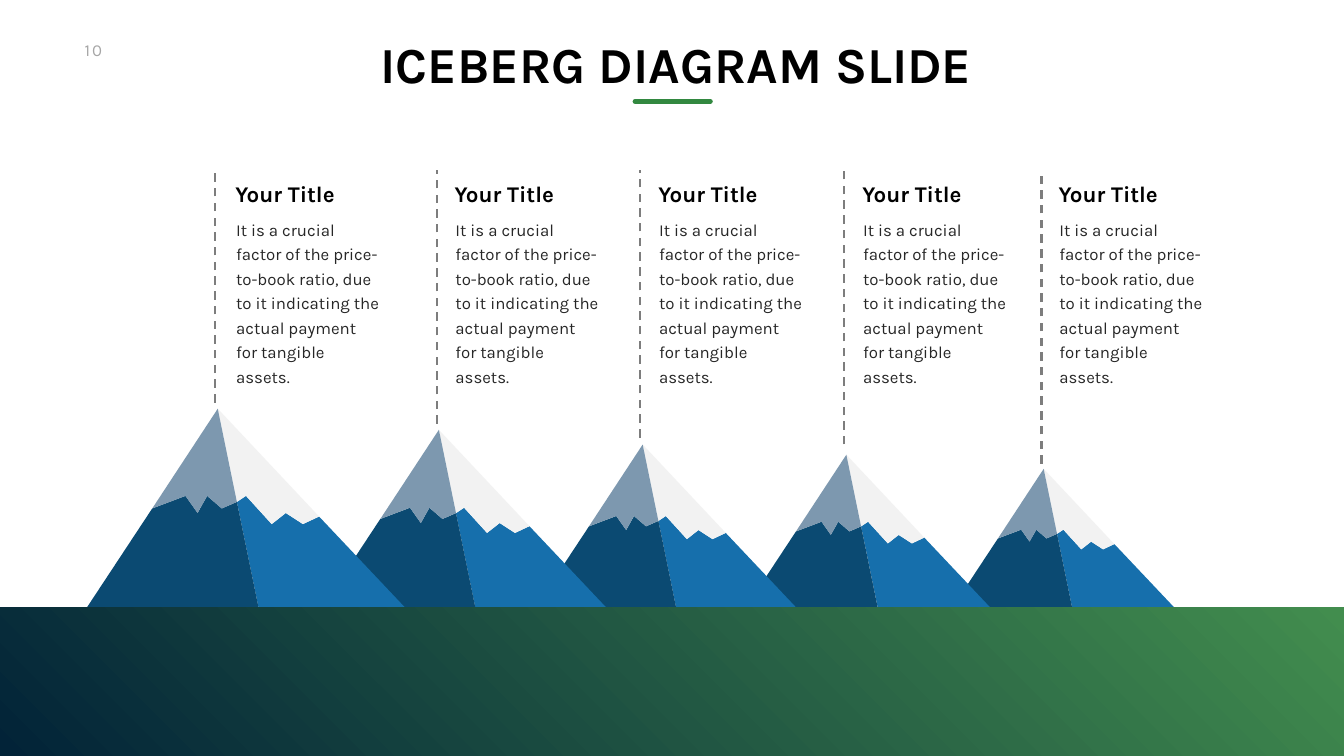
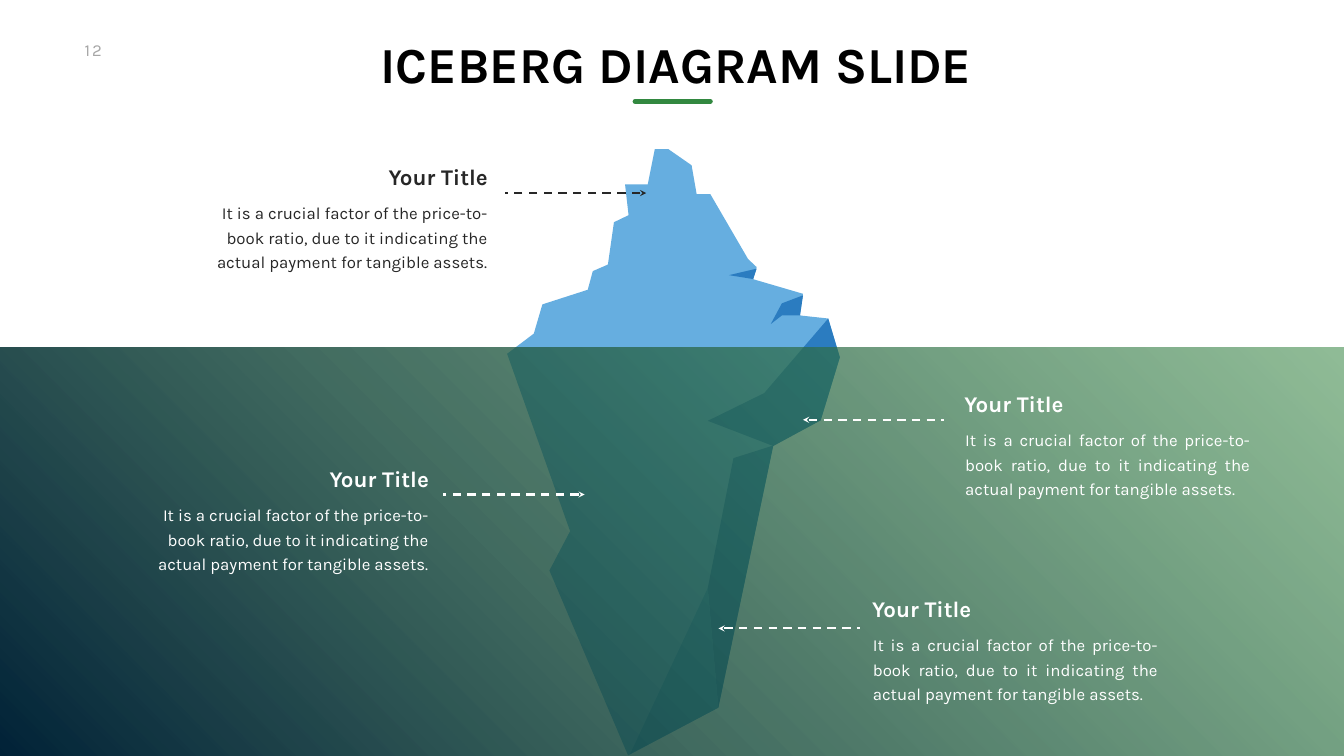
"""Build two iceberg diagram slides: a mountain row and a berg under water."""
import lxml.etree
import pptx
import pptx.dml.color
import pptx.enum.dml
import pptx.enum.shapes
import pptx.enum.text
import pptx.oxml.ns
import pptx.util

Cm = pptx.util.Cm
Pt = pptx.util.Pt
qn = pptx.oxml.ns.qn
Rgb = pptx.dml.color.RGBColor.from_string
Align = pptx.enum.text.PP_ALIGN
Anchor = pptx.enum.text.MSO_ANCHOR


class Theme:
    font = "Karla"
    black, ink, white = "000000", "272727", "FFFFFF"
    pale, dash, green = "A6A6A6", "7D7D7D", "328840"
    deep, leaf = "022338", "428D4E"
    rock, slope, shade, snow = "0B4A72", "166FAC", "7D98AF", "F2F2F2"
    ice, edge, tip = "66AEE0", "2B7CC0", "3A93D0"
    head, title, body = 72, 32, 24
    lead, track = 35, 300
    thin, thick = 3, 7


def write(page, text, box, size, ink, bold=False, align=Align.LEFT,
          wrap=False, pad=(0.25, 0.13, 0.25, 0.13)):
    frame = page.shapes.add_textbox(*map(Cm, box)).text_frame
    frame.text = text
    frame.word_wrap = wrap
    frame.auto_size = pptx.enum.text.MSO_AUTO_SIZE.SHAPE_TO_FIT_TEXT
    frame.vertical_anchor = Anchor.TOP if wrap else Anchor.MIDDLE
    (frame.margin_left, frame.margin_top,
     frame.margin_right, frame.margin_bottom) = map(Cm, pad)
    para = frame.paragraphs[0]
    para.alignment = align
    if wrap:
        para.line_spacing = Pt(Theme.lead)
    run = para.runs[0]
    run.font.name = Theme.font
    run.font.size = Pt(size)
    run.font.bold = bold
    run.font.color.rgb = Rgb(ink)
    return run


def rule(page, ends, ink, width=Theme.thin, dash=True):
    kind = pptx.enum.shapes.MSO_CONNECTOR.STRAIGHT
    bar = page.shapes.add_connector(kind, *map(Cm, ends))
    bar.line.color.rgb = Rgb(ink)
    bar.line.width = Pt(width)
    if dash:
        bar.line.dash_style = pptx.enum.dml.MSO_LINE.DASH
    props = bar._element.spPr
    lxml.etree.SubElement(props, qn("a:effectLst"))
    return props.find(qn("a:ln"))


deck = pptx.Presentation()
deck.slide_width, deck.slide_height = Cm(67.72), Cm(38.1)
peaks, berg = [deck.slides.add_slide(deck.slide_layouts[6]) for _ in range(2)]

# Each face: page, points, fill, left, top, scale
faces = []
base = 30.63
span = 632
top, foot, seam = (260, -395), (341, 0), (298, -210)
west = [(130, -197), (196, -222), (220, -188), (239, -222), (268, -197), seam]
east = [seam, (316, -222), (367, -166), (395, -188), (429, -166), (461, -181)]
mount = [
    (east + [(span, 0), foot], Theme.slope),
    (east + [top], Theme.snow),
    (west + [foot, (0, 0)], Theme.rock),
    (west + [top], Theme.shade),
]
hills = [(47.98, 11.2), (37.57, 12.34), (26.97, 13.16), (16.21, 14.35), (4.37, 16.05)]
for left, wide in hills:
    for points, fill in mount:
        faces.append((peaks, points, fill, left, base, Cm(wide) / span))

block = [
    ([(6, 702), (59, 662), (76, 604), (166, 575), (176, 538), (206, 525),
      (218, 441), (247, 427), (240, 366), (285, 366), (299, 296), (326, 296),
      (372, 328), (382, 385), (409, 385), (484, 514), (501, 530), (494, 554),
      (593, 583), (587, 626), (643, 632), (666, 709), (628, 834), (534, 883),
      (425, 1404), (246, 1499), (90, 1132), (131, 1054)], Theme.ice),
    ([(446, 546), (496, 554), (494, 554), (501, 533)], Theme.edge),
    ([(590, 626), (587, 626), (593, 586), (551, 602), (529, 643),
      (551, 626)], Theme.edge),
    ([(666, 709), (643, 632), (516, 780), (404, 835), (534, 885),
      (628, 834)], Theme.edge),
    ([(404, 1167), (425, 1404), (534, 884), (455, 909)], Theme.edge),
    ([(250, 1496), (425, 1404), (404, 1167)], Theme.tip),
]
for points, fill in block:
    faces.append((berg, points, fill, 25.4, 0, Cm(2.54) / 100))

for page, points, fill, left, high, scale in faces:
    pen = page.shapes.build_freeform(*points[0], scale=scale)
    pen.add_line_segments(points[1:], close=True)
    face = pen.convert_to_shape(Cm(left), Cm(high))
    face.shadow.inherit = False
    face.fill.solid()
    face.fill.fore_color.rgb = Rgb(fill)
    face.line.fill.background()

for page, high, alpha in [(peaks, base, 100), (berg, 17.5, 59)]:
    band = page.shapes.add_shape(
        pptx.enum.shapes.MSO_SHAPE.RECTANGLE, 0, Cm(high),
        deck.slide_width, deck.slide_height - Cm(high))
    band.shadow.inherit = False
    band.line.fill.background()
    band.fill.gradient()
    band.fill.gradient_angle = 45
    for stop, hue in zip(band.fill.gradient_stops, (Theme.deep, Theme.leaf)):
        stop.color.rgb = Rgb(hue)
    if alpha < 100:
        hue = list(band._element.spPr.iter(qn("a:srgbClr")))[-1]
        lxml.etree.SubElement(hue, qn("a:alpha")).set("val", str(alpha * 1000))

for page, count in [(peaks, "10"), (berg, "12")]:
    run = write(page, count, (4.01, 1.88, 1.91, 1.27), Theme.body, Theme.pale)
    run._r.get_or_add_rPr().set("spc", str(Theme.track))
    write(page, "ICEBERG DIAGRAM SLIDE", (18.21, 1.65, 31.47, 3.07), Theme.head,
          Theme.black, True, Align.CENTER, pad=(0.25, 0, 0, 0))
    line = rule(page, (32, 5.11, 35.79, 5.11), Theme.green, Theme.thick, False)
    line.set("cap", "rnd")

# Each note: page, left, top, copy width, copy height, title ink, copy ink, align
notes = []
posts = [(10.85, 20.29, 11.61), (22, 21.36, 22.66), (32.26, 22.05, 32.92),
         (42.52, 22.4, 43.2), (52.48, 23.37, 53.09)]
for x, low, left in posts:
    rule(peaks, (x, low, x, 8.59), Theme.dash)
    notes.append((peaks, left, 8.92, 8.48, 8, Theme.black, Theme.ink, Align.LEFT))

reach = 7.12
calls = [(36.2, 31.67, 43.69, 29.85, Theme.white, False),
         (40.46, 21.16, 48.34, 19.53, Theme.white, False),
         (32.56, 9.73, 18.87, 8.08, Theme.ink, True),
         (29.46, 24.92, 15.9, 23.29, Theme.white, True)]
for x, y, left, high, ink, flip in calls:
    line = rule(berg, (x, y, x - reach if flip else x + reach, y), ink)
    lxml.etree.SubElement(line, qn("a:headEnd")).set("type", "stealth")
    align = Align.RIGHT if flip else Align.JUSTIFY
    notes.append((berg, left, high, 15.57, 4.27, ink, ink, align))

wide, tall, inset = 5.97, 1.63, 0.32
for page, left, high, room, deep, ink, tint, align in notes:
    flip = align == Align.RIGHT
    write(page, "Your Title", (left, high, wide, tall), Theme.title, ink, True,
          Align.RIGHT if flip else Align.LEFT)
    start = left + wide + inset - room if flip else left - inset
    write(page, "It is a crucial factor of the price-to-book ratio, due to it "
          "indicating the actual payment for tangible assets.",
          (start, high + tall, room, deep), Theme.body, tint, False, align,
          True, (0.61, 0.3, 0.61, 0.3))

deck.save("out.pptx")
